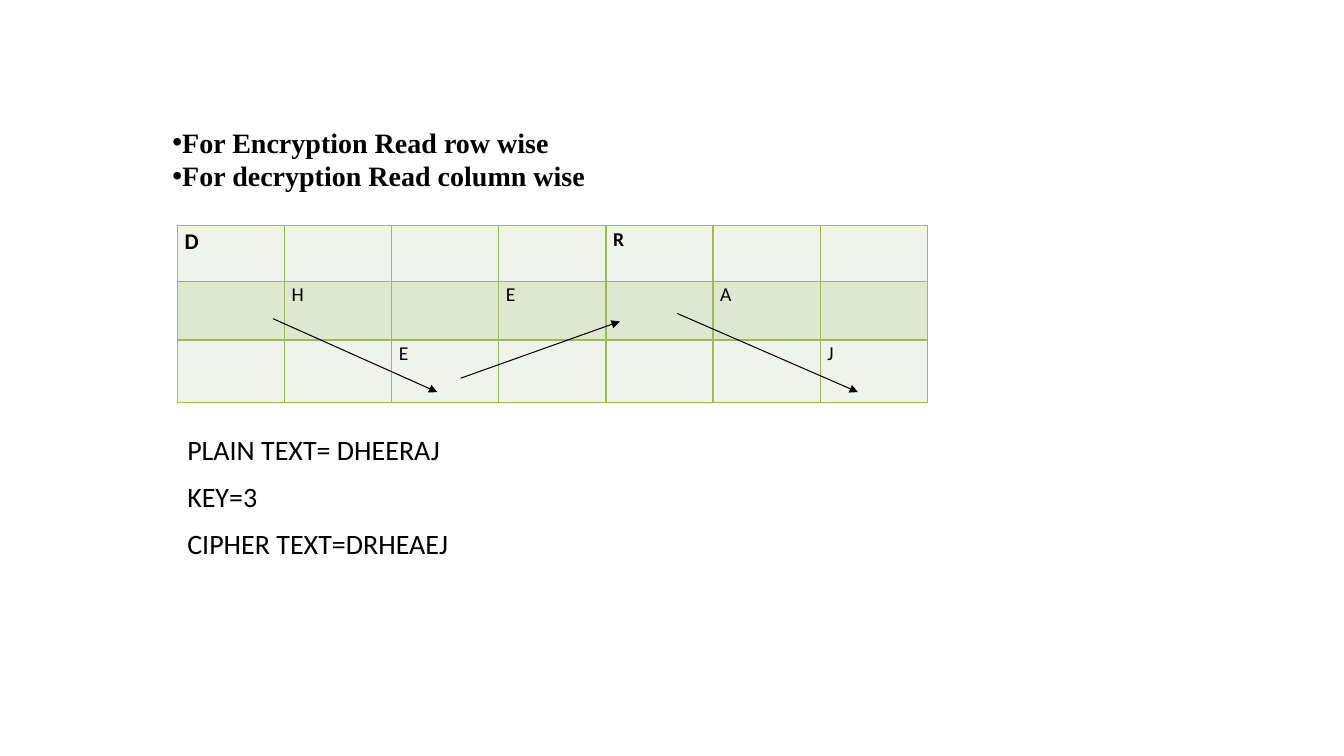
import pptx
import pptx.util
import pptx.dml.color
import pptx.enum.shapes
import pptx.enum.text
import pptx.oxml.ns
from dataclasses import dataclass
from lxml import etree

Cm, Pt = pptx.util.Cm, pptx.util.Pt
qn = pptx.oxml.ns.qn


@dataclass
class Theme:
    ink: str = "000000"
    grid: str = "9BBB59"
    bands: tuple = ("EFF3EA", "DEE7D1")
    head: str = "Times New Roman"
    body: str = "Calibri"
    text: int = 20
    first: int = 16
    cell: int = 14


class Board:
    def __init__(self, slide, theme):
        self.slide = slide
        self.theme = theme

    def color(self, code):
        return pptx.dml.color.RGBColor.from_string(code)

    def style(self, para, font, size, bold=False):
        for run in para.runs:
            run.font.name = font
            run.font.size = Pt(size)
            run.font.bold = bold
            run.font.color.rgb = self.color(self.theme.ink)

    def place(self, shape, box):
        shape.left, shape.top, shape.width, shape.height = map(Cm, box)

    def bullets(self, lines, box):
        body = self.slide.placeholders[1]
        self.place(body, box)
        frame = body.text_frame
        frame.text = "\n".join(lines)
        frame.auto_size = pptx.enum.text.MSO_AUTO_SIZE.NONE
        frame.vertical_anchor = pptx.enum.text.MSO_ANCHOR.MIDDLE
        for para in frame.paragraphs:
            para.space_before = Pt(0)
            self.style(para, self.theme.head, self.theme.text, True)
            props = para._p.get_or_add_pPr()
            props.set("marL", "0")
            props.set("indent", "0")
            etree.SubElement(props, qn("a:buChar"), char="•")

    def note(self, lines, box):
        frame = self.slide.shapes.add_textbox(*map(Cm, box)).text_frame
        frame.word_wrap = True
        frame.text = "\n".join(lines)
        for para in frame.paragraphs:
            para.line_spacing = 1.07
            para.space_after = Pt(8)
            self.style(para, self.theme.body, self.theme.text)

    def border(self, cell):
        props = cell._tc.get_or_add_tcPr()
        for side in ("lnL", "lnR", "lnT", "lnB"):
            line = etree.SubElement(props, qn("a:" + side), w=str(Pt(1)))
            fill = etree.SubElement(line, qn("a:solidFill"))
            etree.SubElement(fill, qn("a:srgbClr"), val=self.theme.grid)

    def table(self, rows, left, top, width, heights):
        count = len(rows[0])
        table = self.slide.shapes.add_table(
            len(rows), count, Cm(left), Cm(top),
            Cm(width * count), Cm(sum(heights))).table
        for col in table.columns:
            col.width = Cm(width)
        for r, row in enumerate(rows):
            table.rows[r].height = Cm(heights[r])
            for c, text in enumerate(row):
                cell = table.cell(r, c)
                self.border(cell)
                cell.fill.solid()
                cell.fill.fore_color.rgb = self.color(self.theme.bands[r % 2])
                cell.margin_left = cell.margin_right = Cm(0.18)
                cell.margin_top = cell.margin_bottom = 0
                if text.strip():
                    cell.text = text
                    para = cell.text_frame.paragraphs[0]
                    para.line_spacing = 1.07
                    size = self.theme.cell if r or c else self.theme.first
                    self.style(para, self.theme.body, size, r == 0)

    def arrow(self, *ends):
        line = self.slide.shapes.add_connector(
            pptx.enum.shapes.MSO_CONNECTOR.STRAIGHT, *map(Cm, ends))
        line.line.color.rgb = self.color(self.theme.ink)
        line.line.width = Pt(0.75)
        props = line._element.spPr
        etree.SubElement(props.find(qn("a:ln")), qn("a:tailEnd"), type="triangle")
        etree.SubElement(props, qn("a:effectLst"))


def main():
    deck = pptx.Presentation()
    deck.slide_width, deck.slide_height = Cm(33.87), Cm(19.05)
    slide = deck.slides.add_slide(deck.slide_layouts[1])
    title = slide.shapes.title._element
    title.getparent().remove(title)
    board = Board(slide, Theme())

    # Reading rules
    board.bullets(["For Encryption Read row wise",
                   "For decryption Read column wise"],
                  (4.09, 3.02, 27.25, 1.96))

    # Rail fence: one letter per column
    board.table(["D   R  ", " H E A ", "  E   J"],
                4.47, 5.69, 2.7, (1.4, 1.48, 1.58))

    # Zigzag path
    for ends in ((6.88, 8.03, 11.02, 9.88),
                 (11.61, 9.53, 15.62, 8.1),
                 (17.07, 7.9, 21.62, 9.88)):
        board.arrow(*ends)

    # Result
    board.note(["PLAIN TEXT= DHEERAJ", "KEY=3", "CIPHER TEXT=DRHEAEJ"],
               (4.47, 10.72, 16.94, 3.53))

    deck.save("out.pptx")


if __name__ == "__main__":
    main()
